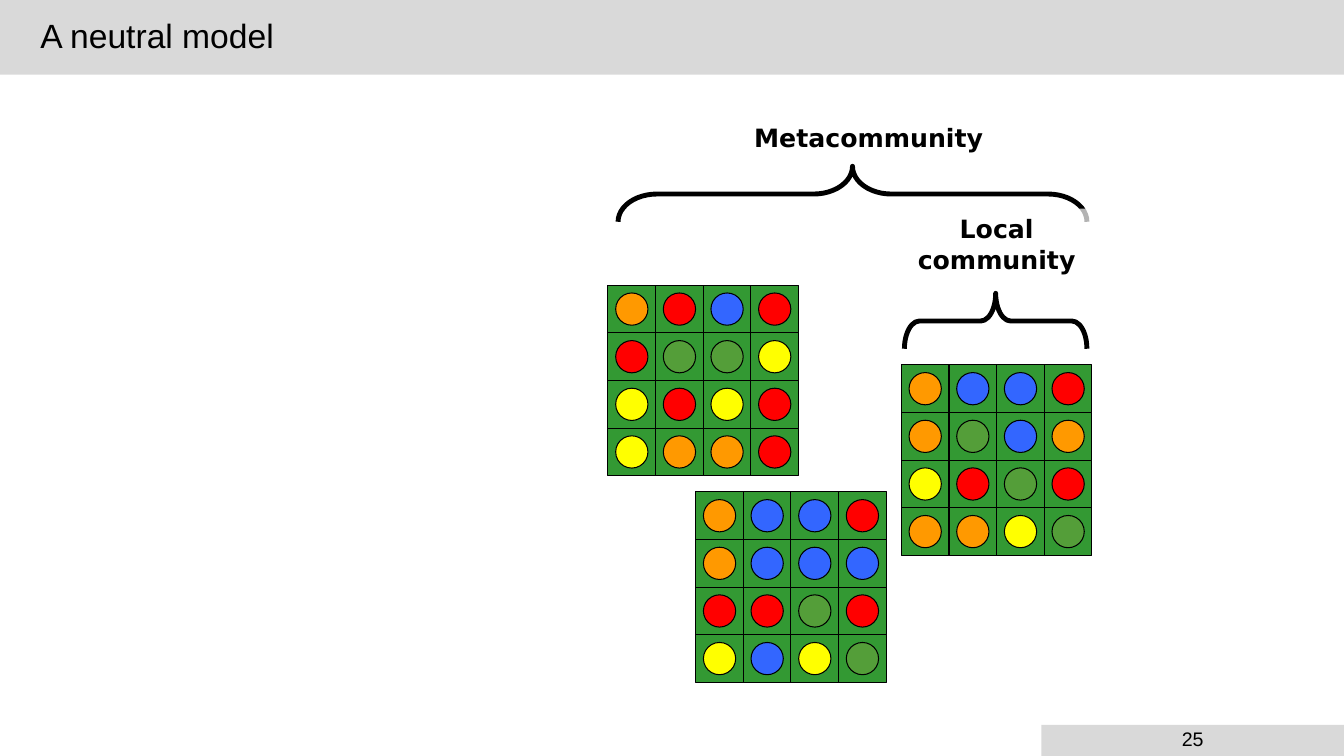
from lxml import etree
from pptx import Presentation
from pptx import util as u
from pptx.dml import color
from pptx.enum import shapes, text
from pptx.oxml import ns

COLORS = {
    "band": "D9D9D9",
    "ink": "000000",
    "paper": "FFFFFF",
    "site": "339933",
    "O": "FF9900",
    "R": "FF0000",
    "B": "3366FF",
    "G": "549E39",
    "Y": "FFFF00",
}
SITE = 1.89 / 4
DOT = 0.32
COMMUNITIES = [
    (6.03, 2.83, ["ORBR", "RGGY", "YRYR", "YOOR"]),
    (6.9, 4.88, ["OBBR", "OBBB", "RRGR", "YBYG"]),
    (8.94, 3.62, ["OBBR", "OGBO", "YRGR", "OOYG"]),
]


class NeutralModelSlide:
    def __init__(self, page):
        self.page = page

    def shape(self, kind, left, top, width, height, fill=None, line=None, parent=None):
        owner = parent or self.page
        shape = owner.shapes.add_shape(
            kind, u.Inches(left), u.Inches(top), u.Inches(width), u.Inches(height)
        )
        shape.shadow.inherit = False
        if fill:
            shape.fill.solid()
            shape.fill.fore_color.rgb = color.RGBColor.from_string(COLORS[fill])
        else:
            shape.fill.background()
        if line:
            shape.line.color.rgb = color.RGBColor.from_string(COLORS["ink"])
            shape.line.width = u.Pt(line)
        else:
            shape.line.fill.background()
        return shape

    def add_words(self, box, words, size, font, align, bold=False):
        frame = box.text_frame
        frame.word_wrap = True
        para = frame.paragraphs[0]
        para.alignment = align
        span = para.add_run()
        span.text = words
        span.font.size = u.Pt(size)
        span.font.name = font
        span.font.bold = bold
        span.font.color.rgb = color.RGBColor.from_string(COLORS["ink"])
        return para

    def bar(self, left, top, width, height, words, size, align, inset=0.1):
        box = self.shape(shapes.MSO_SHAPE.RECTANGLE, left, top, width, height, "band")
        box.text_frame.margin_left = u.Inches(inset)
        box.text_frame.vertical_anchor = text.MSO_ANCHOR.MIDDLE
        self.add_words(box, words, size, "Arial", align).line_spacing = 0.9

    def community(self, left, top, rows):
        group = self.page.shapes.add_group_shape()
        gap = (SITE - DOT) / 2
        for kind, size, offset in (
            (shapes.MSO_SHAPE.RECTANGLE, SITE, 0),
            (shapes.MSO_SHAPE.OVAL, DOT, gap),
        ):
            for row, species in enumerate(rows):
                for column, key in enumerate(species):
                    fill = key if offset else "site"
                    x = left + column * SITE + offset
                    y = top + row * SITE + offset
                    self.shape(kind, x, y, size, size, fill, 0.75, group)

    def brace(self, left, top, width, height, curve):
        brace = self.shape(
            shapes.MSO_SHAPE.LEFT_BRACE,
            left + (width - height) / 2,
            top + (height - width) / 2,
            height,
            width,
            line=3.5,
        )
        brace.rotation = 90
        brace.adjustments[0] = curve
        brace.adjustments[1] = 0.5

    def label(self, left, top, width, height, words, align):
        box = self.shape(shapes.MSO_SHAPE.RECTANGLE, left, top, width, height, "paper")
        tint = box.element.spPr.find(".//" + ns.qn("a:srgbClr"))
        etree.SubElement(tint, ns.qn("a:alpha"), val="70000")
        box.text_frame.vertical_anchor = text.MSO_ANCHOR.TOP
        para = self.add_words(box, words, 18, "DejaVu Sans", align, True)
        para.space_after = u.Pt(5.4)
        box.text_frame.auto_size = text.MSO_AUTO_SIZE.SHAPE_TO_FIT_TEXT


def main():
    deck = Presentation()
    deck.slide_width = u.Inches(13.33)
    deck.slide_height = u.Inches(7.5)
    slide = NeutralModelSlide(deck.slides.add_slide(deck.slide_layouts[6]))
    align = text.PP_ALIGN

    slide.bar(0, 0, 13.33, 0.74, "A neutral model", 24, align.LEFT, 0.4)
    slide.bar(10.33, 7.19, 3, 0.31, "25", 14, align.CENTER)
    for left, top, rows in COMMUNITIES:
        slide.community(left, top, rows)
    slide.brace(8.97, 2.91, 1.81, 0.55, 0.27)
    slide.brace(6.13, 1.65, 4.65, 0.55, 0.7)
    slide.label(8.76, 2.07, 2.25, 0.71, "Local community", align.CENTER)
    slide.label(6.99, 1.16, 2.86, 0.4, "Metacommunity", align.RIGHT)
    deck.save("out.pptx")


if __name__ == "__main__":
    main()
